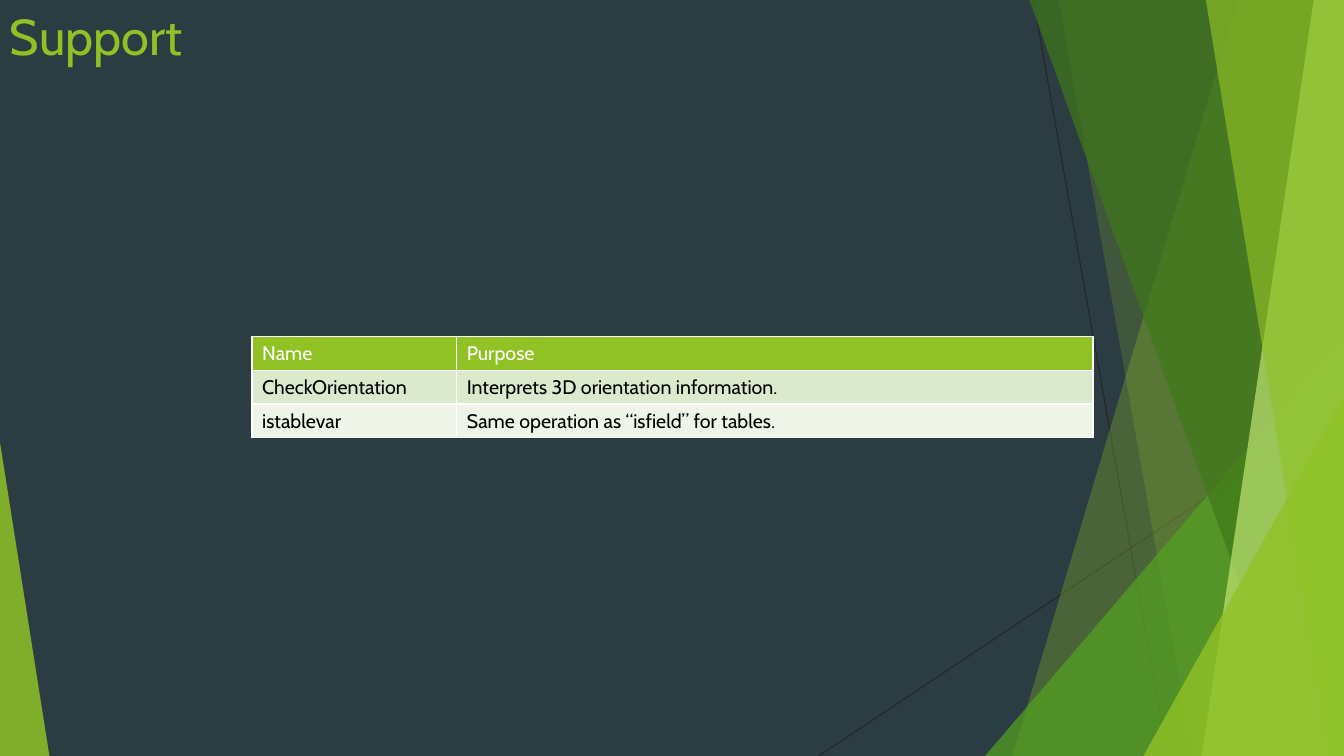
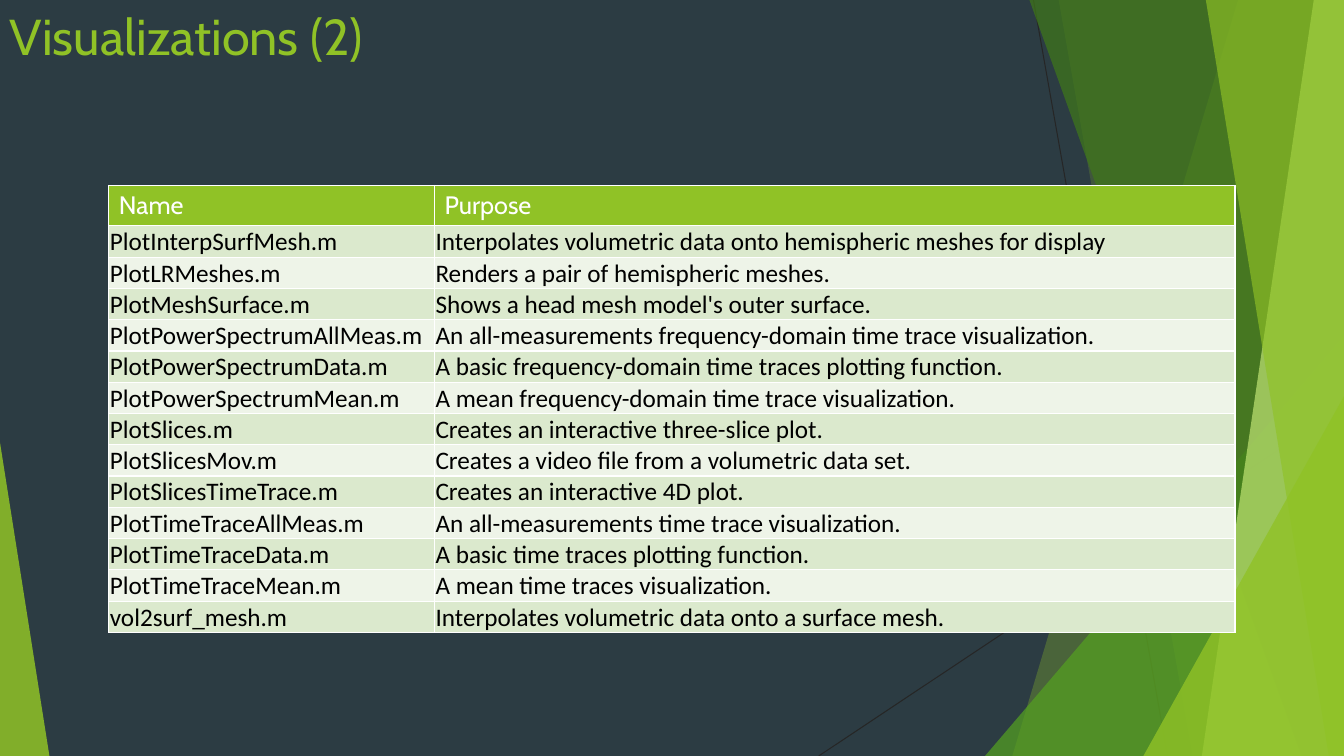
from dataclasses import dataclass

from pptx import Presentation
from pptx.dml.color import RGBColor
from pptx.enum.shapes import MSO_CONNECTOR, MSO_SHAPE
from pptx.enum.text import MSO_ANCHOR
from pptx.oxml.ns import qn
from pptx.util import Inches, Pt
from lxml.etree import SubElement


@dataclass(frozen=True)
class Theme:
    background: str = "2C3C43"
    accent: str = "90C226"
    green: str = "54A021"
    dark_green: str = "3F7819"
    light_green: str = "C0E474"
    hairline: str = "262626"
    stripes: tuple = ("DBE9CD", "EEF4E8")
    white: str = "FFFFFF"
    black: str = "000000"
    font: str = "Cabin"
    listing_font: str = "Calibri"
    title_size: int = 36
    small_size: int = 14
    large_size: int = 18


theme = Theme()
WIDTH, HEIGHT = 13.33, 7.5

HAIRLINES = [(10.25, 0, 11.58, HEIGHT), (WIDTH, 4.03, 8.12, HEIGHT)]

FACETS = [
    ("band", (12.28, 10.04), theme.accent, 30),
    ("band", (10.5, 11.83), theme.accent, 20),
    ("triangle", (9.77, 3.33, 3.56, 1), theme.green, 72),
    ("band", (10.21, 12.91), theme.dark_green, 70),
    ("band", (13.03, 11.92), theme.light_green, 70),
    ("band", (11.96, 13.18), theme.accent, 65),
    ("triangle", (11.34, 3.93, 1.99, 1), theme.accent, 80),
    ("triangle", (0, 4.39, 0.49, 0), theme.accent, 85),
]

PAGES = [
    {
        "title": "Support",
        "left": 2.5, "top": 3.34, "columns": (2.03, 6.31),
        "header_height": 0.33, "row_height": 0.33,
        "size": theme.small_size, "body_font": theme.font, "body_cell": {},
        "rows": [
            ("CheckOrientation", "Interprets 3D orientation information."),
            ("istablevar", "Same operation as “isfield” for tables."),
        ],
    },
    {
        "title": "Visualizations (2)",
        "left": 1.08, "top": 1.84, "columns": (3.23, 7.94),
        "header_height": 0.4, "row_height": 0.31,
        "size": theme.large_size, "body_font": theme.listing_font,
        "body_cell": {
            "vertical_anchor": MSO_ANCHOR.BOTTOM,
            "margin_left": Inches(0.01), "margin_top": Inches(0.01),
            "margin_right": Inches(0.01), "margin_bottom": 0,
        },
        "rows": [
            ("PlotInterpSurfMesh.m", "Interpolates volumetric data onto hemispheric meshes for display"),
            ("PlotLRMeshes.m", "Renders a pair of hemispheric meshes."),
            ("PlotMeshSurface.m", "Shows a head mesh model's outer surface."),
            ("PlotPowerSpectrumAllMeas.m", "An all-measurements frequency-domain time trace visualization."),
            ("PlotPowerSpectrumData.m", "A basic frequency-domain time traces plotting function."),
            ("PlotPowerSpectrumMean.m", "A mean frequency-domain time trace visualization."),
            ("PlotSlices.m", "Creates an interactive three-slice plot."),
            ("PlotSlicesMov.m", "Creates a video file from a volumetric data set."),
            ("PlotSlicesTimeTrace.m", "Creates an interactive 4D plot."),
            ("PlotTimeTraceAllMeas.m", "An all-measurements time trace visualization."),
            ("PlotTimeTraceData.m", "A basic time traces plotting function."),
            ("PlotTimeTraceMean.m", "A mean time traces visualization."),
            ("vol2surf_mesh.m", "Interpolates volumetric data onto a surface mesh."),
        ],
    },
]


def write(frame, text, font, size, color):
    span = frame.paragraphs[0].add_run()
    span.text = text
    for name, value in {"name": font, "size": Pt(size), "bold": False}.items():
        setattr(span.font, name, value)
    span.font.color.rgb = RGBColor.from_string(color)


def add_borders(cell, color, width):
    properties = cell._tc.get_or_add_tcPr()
    for side in ("a:lnL", "a:lnR", "a:lnT", "a:lnB"):
        line = SubElement(properties, qn(side), w=str(Pt(width)))
        fill = SubElement(line, qn("a:solidFill"))
        SubElement(fill, qn("a:srgbClr"), val=color)


deck = Presentation()
deck.slide_width, deck.slide_height = Inches(WIDTH), Inches(HEIGHT)

for content in PAGES:
    page = deck.slides.add_slide(deck.slide_layouts[6])
    page.background.fill.solid()
    page.background.fill.fore_color.rgb = RGBColor.from_string(theme.background)

    for ends in HAIRLINES:
        hairline = page.shapes.add_connector(MSO_CONNECTOR.STRAIGHT, *map(Inches, ends))
        hairline.line.color.rgb = RGBColor.from_string(theme.hairline)
        hairline.line.width = Pt(0.75)
        SubElement(hairline._element.spPr, qn("a:effectLst"))

    for kind, geometry, color, opacity in FACETS:
        if kind == "band":
            top_left, bottom_left = geometry
            outline = page.shapes.build_freeform(Inches(top_left), 0)
            corners = [(WIDTH, 0), (WIDTH, HEIGHT), (bottom_left, HEIGHT)]
            outline.add_line_segments([(Inches(x), Inches(y)) for x, y in corners])
            facet = outline.convert_to_shape()
        else:
            left, top, width, apex = geometry
            facet = page.shapes.add_shape(
                MSO_SHAPE.ISOSCELES_TRIANGLE,
                Inches(left), Inches(top), Inches(width), Inches(HEIGHT - top))
            facet.adjustments[0] = apex
        facet.shadow.inherit = False
        facet.line.fill.background()
        facet.fill.solid()
        facet.fill.fore_color.rgb = RGBColor.from_string(color)
        swatch = facet._element.spPr.find(qn("a:solidFill"))[0]
        SubElement(swatch, qn("a:alpha"), val=str(opacity * 1000))

    box = page.shapes.add_textbox(0, 0, Inches(9.4), Inches(1.44))
    box.text_frame.word_wrap = True
    write(box.text_frame, content["title"], theme.font, theme.title_size, theme.accent)

    rows = [("Name", "Purpose"), *content["rows"]]
    heights = [content["header_height"]] + [content["row_height"]] * len(content["rows"])
    table = page.shapes.add_table(
        len(rows), len(content["columns"]), Inches(content["left"]), Inches(content["top"]),
        Inches(sum(content["columns"])), Inches(sum(heights))).table
    for column, width in zip(table.columns, content["columns"]):
        column.width = Inches(width)
    for index, (texts, height) in enumerate(zip(rows, heights)):
        table.rows[index].height = Inches(height)
        if index == 0:
            fill, color, font, settings = theme.accent, theme.white, theme.font, {}
        else:
            fill, color = theme.stripes[(index - 1) % 2], theme.black
            font, settings = content["body_font"], content["body_cell"]
        for cell, text in zip(table.rows[index].cells, texts):
            for name, value in settings.items():
                setattr(cell, name, value)
            add_borders(cell, theme.white, 1)
            cell.fill.solid()
            cell.fill.fore_color.rgb = RGBColor.from_string(fill)
            write(cell.text_frame, text, font, content["size"], color)

deck.save("out.pptx")
